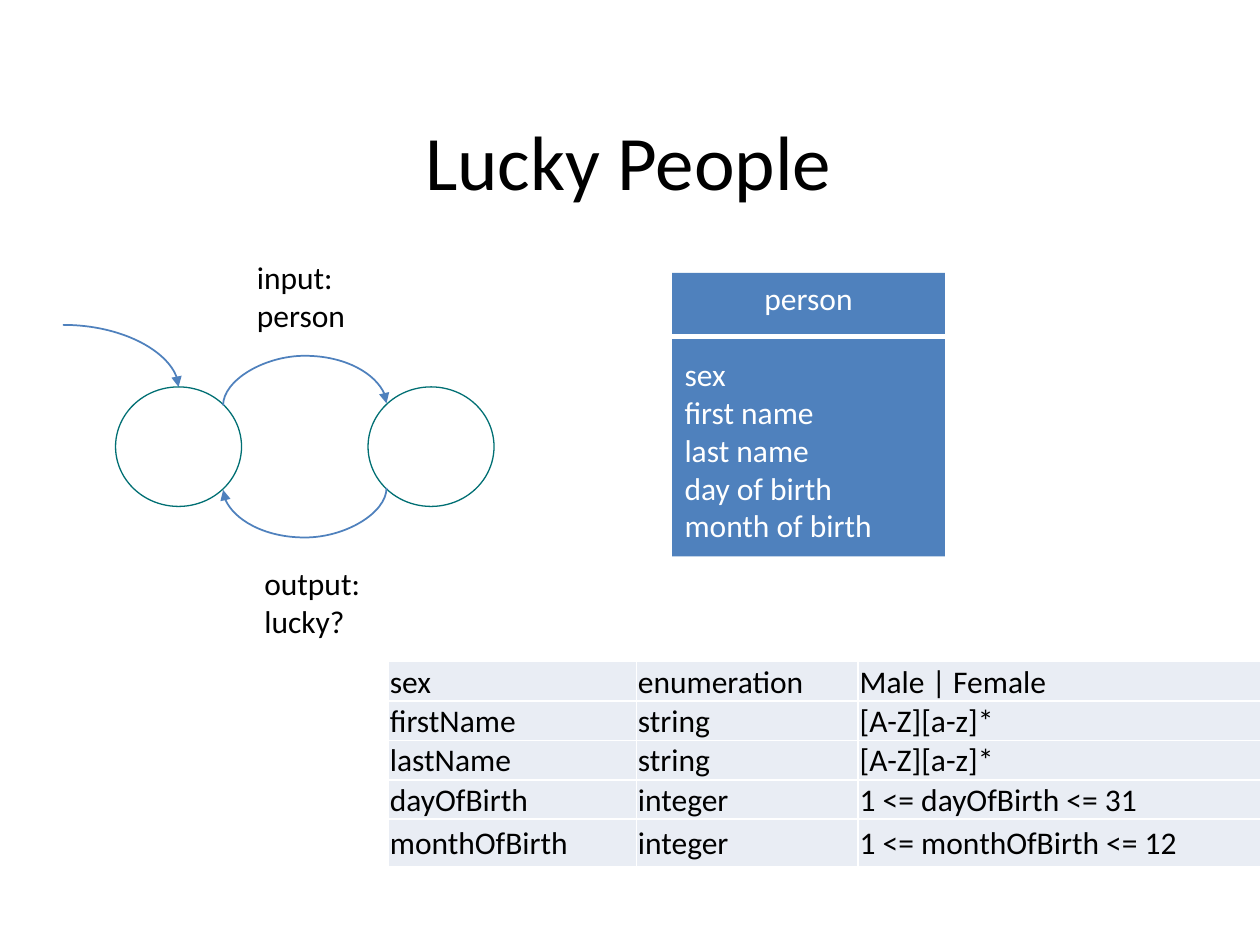
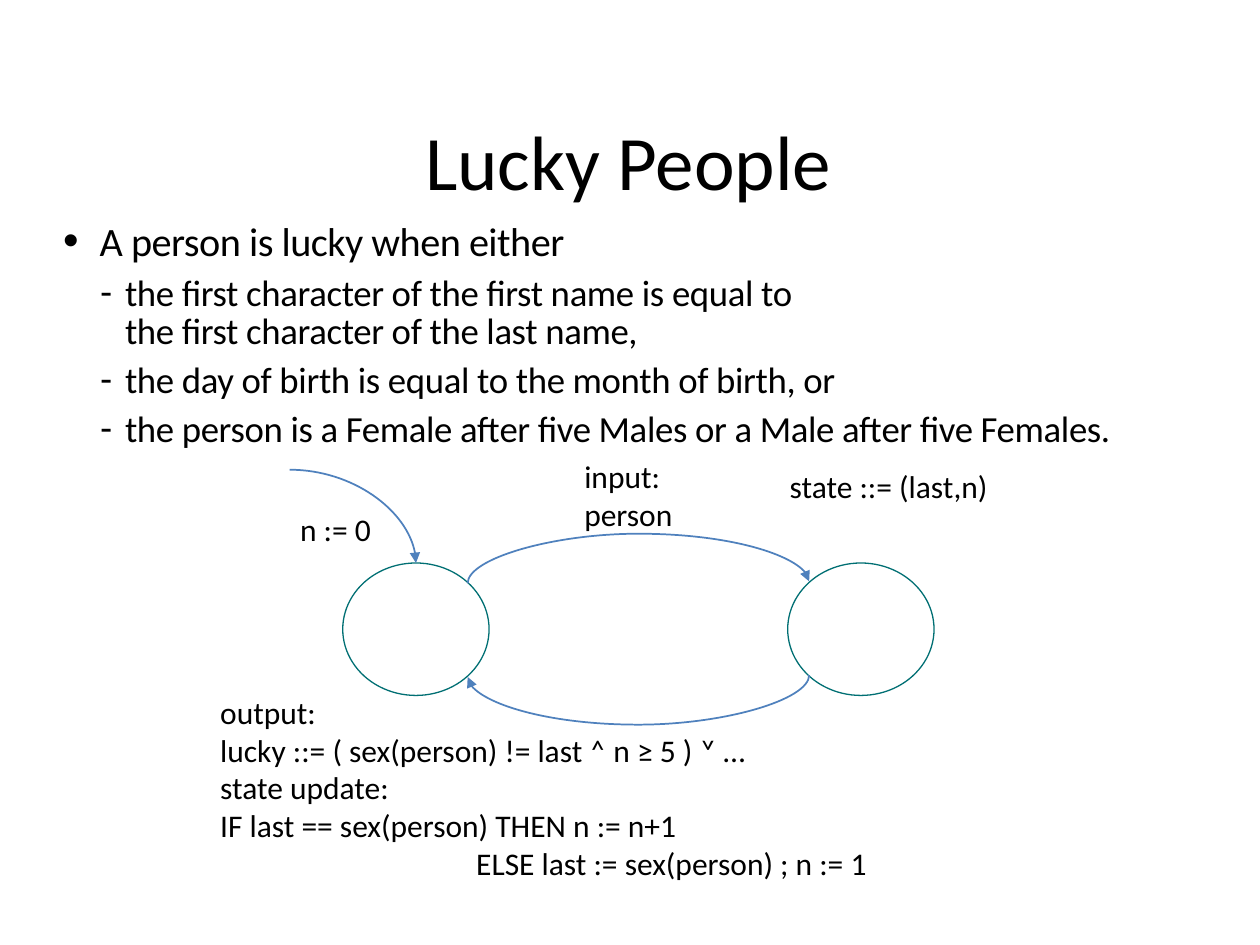
"""Build two slides that model the Lucky People example as a state machine."""
from lxml import etree
from pptx import Presentation
from pptx.dml.color import RGBColor
from pptx.enum.shapes import MSO_CONNECTOR, MSO_SHAPE
from pptx.enum.text import MSO_ANCHOR, MSO_AUTO_SIZE, PP_ALIGN
from pptx.oxml.ns import qn
from pptx.util import Cm, Pt

CURVE, STRAIGHT = MSO_CONNECTOR.CURVE, MSO_CONNECTOR.STRAIGHT
RECTANGLE, OVAL = MSO_SHAPE.RECTANGLE, MSO_SHAPE.OVAL
TOP, MIDDLE = MSO_ANCHOR.TOP, MSO_ANCHOR.MIDDLE
LEFT, CENTER = PP_ALIGN.LEFT, PP_ALIGN.CENTER
NO_AUTOFIT = MSO_AUTO_SIZE.NONE

FONT = "Calibri"
BLACK, WHITE, BLUE, TEAL, PALE = "000000", "FFFFFF", "4F81BD", "006F73", "E9EDF4"
colour = RGBColor.from_string
LOOP_RISE = 1.0
LOOP_DEPTH = 0.04
DIAGONAL = (1 + 0.5 ** 0.5) / 2


def write(frame, lines, size=18, ink=BLACK, align=LEFT):
    """Fill a text frame with one paragraph per line."""
    frame.word_wrap = True
    frame.text = "\n".join(lines)
    for para in frame.paragraphs:
        para.alignment = align
        para.font.name = FONT
        para.font.size = Pt(size)
        para.font.color.rgb = colour(ink)


def add_line(page, kind, ends, ink, width, preset=None, turn=0, bend=None):
    """Draw a connector; a preset makes it a curved arrow."""
    line = page.shapes.add_connector(kind, *[Cm(value) for value in ends])
    line.line.color.rgb = colour(ink)
    line.line.width = Pt(width)
    properties = line.element.spPr
    etree.SubElement(properties, qn("a:effectLst"))
    if preset:
        geometry = properties.find(qn("a:prstGeom"))
        geometry.set("prst", preset)
        properties.find(qn("a:xfrm")).set("rot", str(turn * 60000))
        etree.SubElement(properties.find(qn("a:ln")), qn("a:tailEnd"), type="triangle")
        if bend:
            etree.SubElement(geometry.find(qn("a:avLst")), qn("a:gd"),
                             name="adj1", fmla=f"val {round(bend * 100000)}")


deck = Presentation()
deck.slide_width, deck.slide_height = Cm(25.4), Cm(19.05)
data_page = deck.slides.add_slide(deck.slide_layouts[5])
rules_page = deck.slides.add_slide(deck.slide_layouts[1])

for page in deck.slides:
    title = page.shapes.title
    title.left, title.top, title.width, title.height = Cm(1.17), Cm(2.11), Cm(23), Cm(2.2)
    write(title.text_frame, ["Lucky People"], 44, BLACK, CENTER)
    title.text_frame.vertical_anchor = MIDDLE

body = rules_page.placeholders[1]
body.left, body.top, body.width, body.height = Cm(1.27), Cm(4.45), Cm(21.92), Cm(5.13)
frame = body.text_frame
write(frame, [
    "A person is lucky when either",
    "the first character of the first name is equal to\vthe first character of the last name,",
    "the day of birth is equal to the month of birth, or",
    "the person is a Female after five Males or a Male after five Females.",
])
frame.auto_size = NO_AUTOFIT
frame.margin_left = frame.margin_top = frame.margin_right = frame.margin_bottom = 0
for number, para in enumerate(frame.paragraphs):
    if number == 0:
        size, pitch, before, margin, hang, bullet, tracking = 23, 25, 12, 0.74, 0.74, "•", -30
    else:
        size, pitch, before, margin, hang, bullet, tracking = 21, 22, 6, 1.25, 0.5, "-", -20
        para.level = 1
    para.font.size = Pt(size)
    para.line_spacing = Pt(pitch)
    para.space_before = Pt(before)
    properties = para._p.get_or_add_pPr()
    properties.set("marL", str(Cm(margin)))
    properties.set("indent", str(-Cm(hang)))
    scale = etree.Element(qn("a:buSzPct"), val="110000" if number == 0 else "100000")
    mark = etree.Element(qn("a:buChar"), char=bullet)
    for element in (scale, mark):
        properties.insert_element_before(element, "a:tabLst", "a:defRPr", "a:extLst")
    properties.get_or_add_defRPr().set("spc", str(tracking))

person = data_page.shapes.add_shape(RECTANGLE, Cm(13.55), Cm(5.5), Cm(5.5), Cm(5.72))
person.shadow.inherit = False
person.fill.solid()
person.fill.fore_color.rgb = colour(BLUE)
person.line.fill.background()
write(person.text_frame,
      ["person", "sex", "first name", "last name", "day of birth", "month of birth"], ink=WHITE)
person.text_frame.vertical_anchor = TOP
person.text_frame.paragraphs[0].alignment = CENTER
person.text_frame.paragraphs[1].space_before = Pt(22)
add_line(data_page, STRAIGHT, (13.55, 6.78, 19.05, 6.78), WHITE, 3)

machines = [
    (data_page, 2.33, 7.42, 7.8, 2.54, 2.41, (1.27, 6.55)),
    (rules_page, 6.91, 15.88, 11.35, 2.95, 2.67, (5.84, 9.47)),
]
for page, first_left, second_left, top, width, height, entry in machines:
    for left in (first_left, second_left):
        state = page.shapes.add_shape(OVAL, Cm(left), Cm(top), Cm(width), Cm(height))
        state.shadow.inherit = False
        state.fill.solid()
        state.fill.fore_color.rgb = colour(WHITE)
        state.line.color.rgb = colour(TEAL)
        state.line.width = Pt(0.75)
    add_line(page, CURVE, (*entry, first_left + width / 2, top), BLUE, 1, "curvedConnector2")
    middle = (first_left + second_left + width) / 2
    half_span = middle - first_left - width * DIAGONAL
    for sign, share in ((1, DIAGONAL), (-1, 1 - DIAGONAL)):
        level = top + height * share
        across, along = sign * LOOP_DEPTH / 2, sign * half_span
        ends = (middle - across, level - along, middle + across, level + along)
        add_line(page, CURVE, ends, BLUE, 1, "curvedConnector3", 90, LOOP_RISE / LOOP_DEPTH)

labels = [
    (data_page, ["input:", "person"], 4.93, 5.08, 2.5, 1.8, LEFT),
    (data_page, ["output:\vlucky?"], 5.08, 11.25, 2.5, 1.8, LEFT),
    (rules_page, ["n := 0"], 5.61, 10.16, 2.31, 1.02, CENTER),
    (rules_page, ["state ::= (last,n)"], 15.67, 9.3, 5.36, 1.02, LEFT),
    (rules_page, ["input:", "person"], 11.53, 9.09, 2.67, 1.8, LEFT),
    (rules_page, [
        "output:\vlucky ::= ( sex(person) != last ˄ n ≥ 5 ) ˅ …",
        "state update:",
        "IF last == sex(person) THEN n := n+1",
        "ELSE last := sex(person) ; n := 1",
    ], 4.19, 13.84, 17.4, 4.88, LEFT),
]
for page, lines, left, top, width, height, align in labels:
    box = page.shapes.add_textbox(Cm(left), Cm(top), Cm(width), Cm(height))
    write(box.text_frame, lines, align=align)
    for para in box.text_frame.paragraphs:
        if para.text.startswith("ELSE"):
            para._p.get_or_add_pPr().set("marL", str(Cm(5.16)))

fields = [
    ("sex", "enumeration", "Male | Female"),
    ("firstName", "string", "[A-Z][a-z]*"),
    ("lastName", "string", "[A-Z][a-z]*"),
    ("dayOfBirth", "integer", "1 <= dayOfBirth <= 31"),
    ("monthOfBirth", "integer", "1 <= monthOfBirth <= 12"),
]
table = data_page.shapes.add_table(
    len(fields), 3, Cm(7.83), Cm(13.34), Cm(18.33), Cm(4.13)).table
table.first_row = table.horz_banding = False
for column, width in zip(table.columns, (5, 4.47, 8.86)):
    column.width = Cm(width)
for row, height, field in zip(table.rows, (0.79, 0.79, 0.79, 0.79, 0.97), fields):
    row.height = Cm(height)
    for cell, text in zip(row.cells, field):
        write(cell.text_frame, [text])
        cell.vertical_anchor = MIDDLE
        cell.margin_left = cell.margin_top = cell.margin_right = Cm(0.03)
        cell.margin_bottom = 0
        for side in ("lnL", "lnR", "lnT", "lnB"):
            border = etree.SubElement(cell._tc.get_or_add_tcPr(), qn(f"a:{side}"), w=str(Pt(1)))
            paint = etree.SubElement(border, qn("a:solidFill"))
            etree.SubElement(paint, qn("a:srgbClr"), val=WHITE)
        cell.fill.solid()
        cell.fill.fore_color.rgb = colour(PALE)

deck.save("out.pptx")
